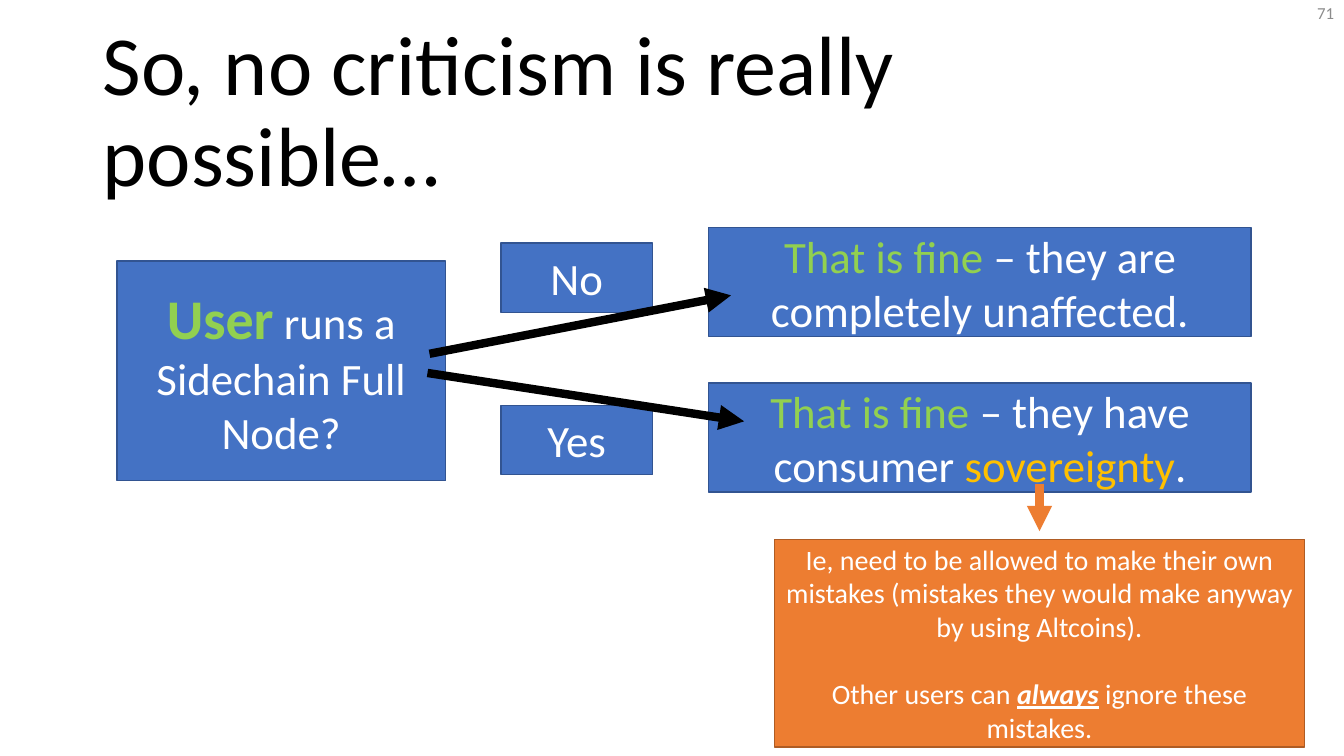
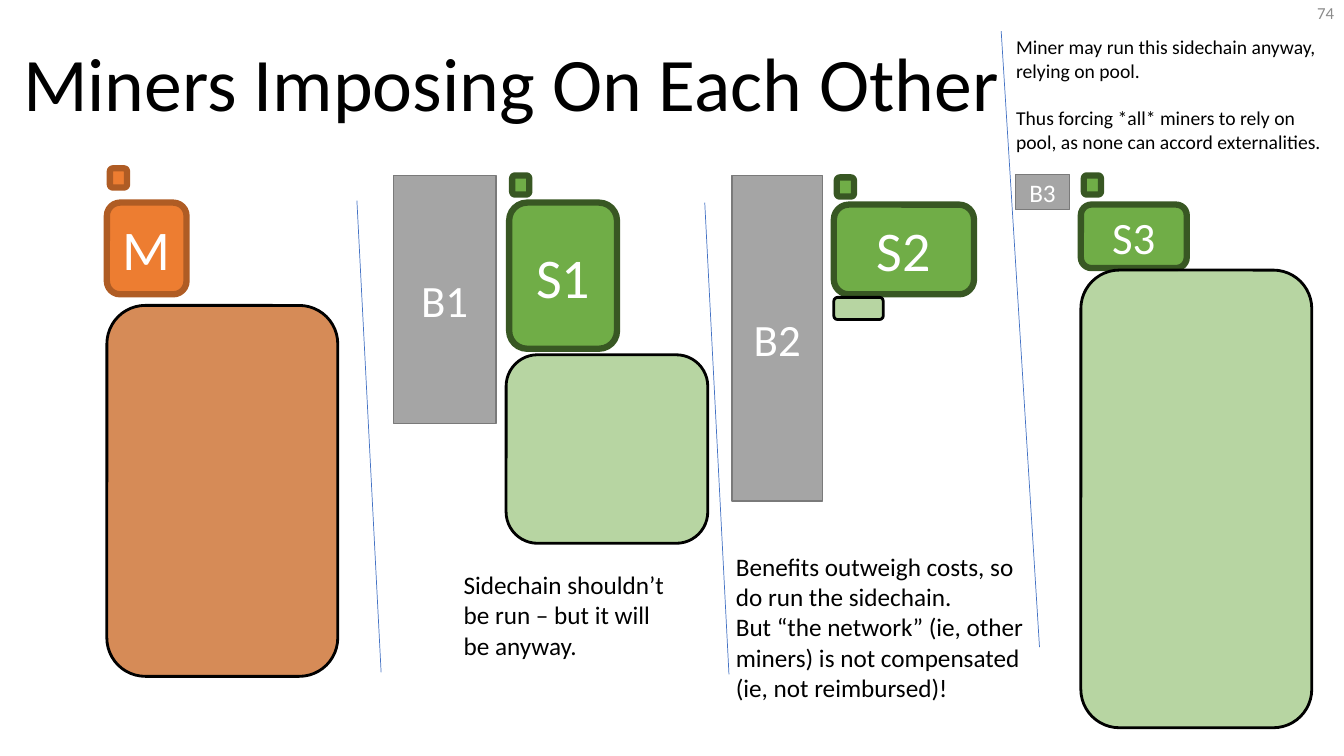
from dataclasses import dataclass

from lxml.etree import SubElement
from pptx import Presentation
from pptx.dml.color import RGBColor
from pptx.enum.shapes import MSO_CONNECTOR, MSO_SHAPE
from pptx.enum.text import MSO_ANCHOR, PP_ALIGN
from pptx.oxml.ns import qn
from pptx.util import Inches, Pt


@dataclass(frozen=True)
class Theme:
    font: str = "Calibri"
    white: str = "FFFFFF"
    black: str = "000000"
    blue: str = "4472C4"
    blue_edge: str = "325491"
    orange: str = "ED7D31"
    orange_edge: str = "AF5C24"
    rust: str = "C55A11"
    green: str = "70AD47"
    green_edge: str = "385723"
    gray: str = "A5A5A5"
    gray_edge: str = "7A7A7A"
    lime: str = "92D050"
    gold: str = "FFC000"
    number: str = "8C8C8C"
    number_size: int = 12
    small: int = 14
    body: int = 18
    note: int = 20
    label: int = 32
    large: int = 40


T = Theme()
CENTER = {"align": PP_ALIGN.CENTER, "anchor": MSO_ANCHOR.MIDDLE}

# Text is a list of paragraphs; a paragraph is a list of (text, format) runs.
FINE = ("That is fine ", {"color": T.lime})
QUESTION = [[("User", {"color": T.lime, "size": T.large, "bold": True}),
             (" runs a Sidechain Full Node?", {})]]
BLUE_BOXES = [
    ((1.16, 2.59, 3.26, 2.18), QUESTION),
    ((4.97, 2.41, 1.5, 0.69), ["No"]),
    ((7.03, 2.26, 5.38, 1.08), [[FINE, ("– they are completely unaffected.", {})]]),
    ((4.97, 4.02, 1.5, 0.69), ["Yes"]),
    ((7.03, 3.8, 5.38, 1.08), [[FINE, ("– they have consumer ", {}),
                                ("sovereignty", {"color": T.gold}), (".", {})]]),
]
MISTAKES = [
    "Ie, need to be allowed to make their own mistakes "
    "(mistakes they would make anyway by using Altcoins).",
    [("Other users can ", {}),
     ("always", {"bold": True, "italic": True, "underline": True}),
     (" ignore these mistakes.", {})],
]
ARROWS = [
    ((4.26, 3.51), (7.25, 2.93), T.black),
    ((4.24, 3.7), (7.38, 4.18), T.black),
    ((10.31, 4.8), (10.31, 5.27), T.orange),
]

ORANGE_CHAIN = {"fill": T.orange, "edge": T.orange_edge}
GREEN_CHAIN = {"fill": T.green, "edge": T.green_edge}
ORANGE_AREA = {"fill": T.rust, "alpha": 70}
GREEN_AREA = {"fill": T.green, "alpha": 50}
# label, label size, block, area below it, top of the marker, block style, area style
CHAINS = [
    ("M", T.large, (1.06, 2.01, 0.79, 0.91), (1.06, 3.03, 2.29, 3.68), 1.67,
     ORANGE_CHAIN, ORANGE_AREA),
    ("S1", T.large, (5.05, 2.01, 1.07, 1.45), (5.02, 3.52, 2, 1.87), 1.74,
     GREEN_CHAIN, GREEN_AREA),
    ("S2", T.large, (8.27, 2.03, 1.39, 0.89), (8.27, 2.95, 0.49, 0.22), 1.76,
     GREEN_CHAIN, GREEN_AREA),
    ("S3", T.label, (10.72, 2.03, 1.05, 0.63), (10.72, 2.68, 2.29, 4.54), 1.74,
     GREEN_CHAIN, GREEN_AREA),
]
BENEFITS = [
    ("B1", T.label, (3.9, 1.74, 1.02, 2.46)),
    ("B3", T.body, (10.07, 1.73, 0.54, 0.35)),
    ("B2", T.label, (7.26, 1.74, 0.9, 3.23)),
]
REMARKS = [
    ((4.5, 5.6, 2.29, 1.01), T.body, 0,
     ["Sidechain shouldn’t be run – but it will be anyway."]),
    ((9.98, 0.3, 3.23, 1.28), T.small, 17,
     ["Miner may run this sidechain anyway, relying on pool.",
      "Thus forcing *all* miners to rely on pool, as none can accord externalities."]),
    ((7.2, 5.42, 3.1, 1.62), T.body, 0,
     ["Benefits outweigh costs, so do run the sidechain.",
      "But “the network” (ie, other miners) is not compensated",
      "(ie, not reimbursed)!"]),
]
DIVIDERS = [
    ((3.54, 1.99), (3.78, 6.67)),
    ((6.99, 2.01), (7.23, 6.69)),
    ((9.93, 0.31), (10.31, 6.42)),
]


def rgb(value):
    return RGBColor.from_string(value)


def write(sp, paragraphs, size=T.body, color=T.black, align=PP_ALIGN.LEFT,
          anchor=MSO_ANCHOR.TOP, gap=0, spacing=None):
    """Fill a shape with text; gap is the space between paragraphs in points."""
    tf = sp.text_frame
    tf.word_wrap = True
    tf.vertical_anchor = anchor
    for i, runs in enumerate(paragraphs):
        p = tf.add_paragraph() if i else tf.paragraphs[0]
        p.alignment = align
        p.space_before = Pt(gap if i else 0)
        if spacing:
            p.line_spacing = spacing
        for text, style in [(runs, {})] if isinstance(runs, str) else runs:
            r = p.add_run()
            r.text = text
            r.font.name = T.font
            r.font.size = Pt(style.get("size", size))
            r.font.color.rgb = rgb(style.get("color", color))
            r.font.bold = style.get("bold")
            r.font.italic = style.get("italic")
            r.font.underline = style.get("underline")


def add_text(slide, box, paragraphs, **fmt):
    write(slide.shapes.add_textbox(*map(Inches, box)), paragraphs, **fmt)


def add_box(slide, box, fill, edge=T.black, width=1, kind=MSO_SHAPE.RECTANGLE,
            alpha=None, text=None, **fmt):
    sp = slide.shapes.add_shape(kind, *map(Inches, box))
    sp.shadow.inherit = False
    sp.fill.solid()
    sp.fill.fore_color.rgb = rgb(fill)
    if alpha is not None:
        clr = sp.fill._xPr.find(qn("a:solidFill"))[0]
        SubElement(clr, qn("a:alpha")).set("val", str(alpha * 1000))
    sp.line.color.rgb = rgb(edge)
    sp.line.width = Pt(width)
    if text:
        write(sp, text, color=T.white, **CENTER, **fmt)


def add_line(slide, start, end, color, width, arrow=False):
    line = slide.shapes.add_connector(MSO_CONNECTOR.STRAIGHT, *map(Inches, start + end))
    line.line.color.rgb = rgb(color)
    line.line.width = Pt(width)
    if arrow:
        SubElement(line.line._get_or_add_ln(), qn("a:tailEnd")).set("type", "triangle")
    SubElement(line._element.spPr, qn("a:effectLst"))


def add_slide(prs, title, box, size, number):
    slide = prs.slides.add_slide(prs.slide_layouts[6])
    add_text(slide, box, [title], size=size, anchor=MSO_ANCHOR.MIDDLE, spacing=0.9)
    add_text(slide, (10.33, -0.07, 3, 0.4), [str(number)], size=T.number_size,
             color=T.number, align=PP_ALIGN.RIGHT, anchor=MSO_ANCHOR.MIDDLE)
    return slide


def build_criticism(prs):
    slide = add_slide(prs, "So, no criticism is really possible…",
                      (0.92, 0.4, 11.5, 1.45), 60, 71)
    for box, text in BLUE_BOXES:
        add_box(slide, box, T.blue, T.blue_edge, text=text, size=T.label)
    add_box(slide, (7.68, 5.35, 5.26, 2.06), T.orange, T.orange_edge,
            text=MISTAKES, size=T.note, gap=24)
    for start, end, color in ARROWS:
        add_line(slide, start, end, color, 6, arrow=True)


def build_miners(prs):
    slide = add_slide(prs, "Miners Imposing On Each Other",
                      (0.13, 0.32, 11.21, 1.09), 54, 74)
    rounded = MSO_SHAPE.ROUNDED_RECTANGLE
    for label, size, block, area, marker_top, chain, area_style in CHAINS:
        marker = (block[0] + 0.03, marker_top, 0.17, 0.19)
        add_box(slide, block, width=4.5, kind=rounded, text=[label], size=size, **chain)
        add_box(slide, area, width=2, kind=rounded, **area_style)
        add_box(slide, marker, width=4.5, kind=rounded, **chain)
    for label, size, box in BENEFITS:
        add_box(slide, box, T.gray, T.gray_edge, text=[label], size=size)
    for box, size, gap, text in REMARKS:
        add_text(slide, box, text, size=size, gap=gap)
    for start, end in DIVIDERS:
        add_line(slide, start, end, T.blue, 0.5)


def main():
    prs = Presentation()
    prs.slide_width, prs.slide_height = Inches(13.33), Inches(7.5)
    build_criticism(prs)
    build_miners(prs)
    prs.save("out.pptx")


if __name__ == "__main__":
    main()
